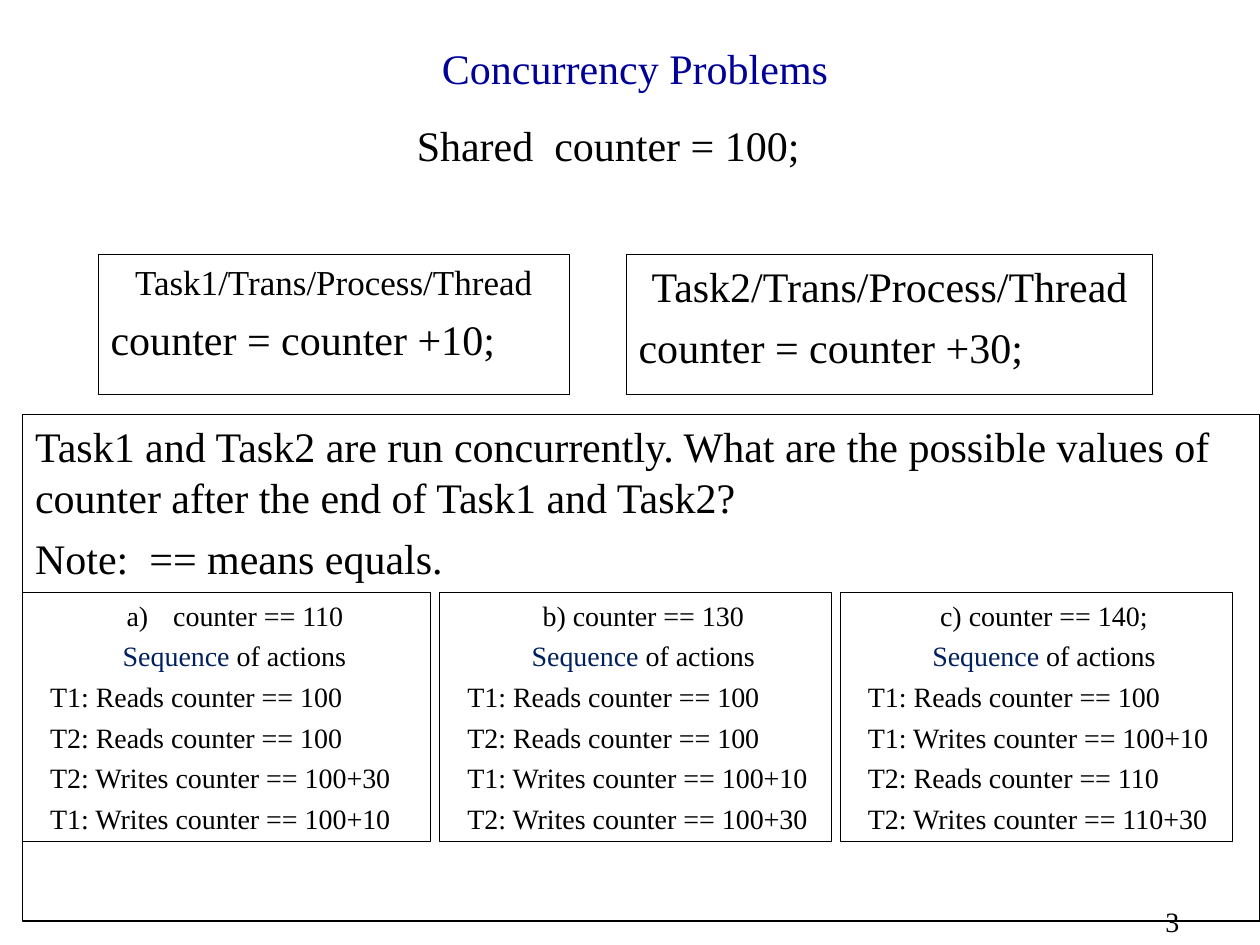
from pptx import Presentation
from pptx.dml.color import RGBColor
from pptx.enum.shapes import MSO_SHAPE as Shape
from pptx.enum.text import MSO_ANCHOR as Anchor, PP_ALIGN as Align
from pptx.oxml.ns import qn
from pptx.util import Inches, Pt
from lxml import etree

FONT = "Times New Roman"
BLACK = RGBColor(0x00, 0x00, 0x00)
TITLE_BLUE = RGBColor(0x00, 0x00, 0x99)
NAVY = RGBColor(0x00, 0x20, 0x60)

TASKS = [
    (0.78, 3.74, 20, "Task1/Trans/Process/Thread", "counter = counter +10;"),
    (4.97, 4.18, 24, "Task2/Trans/Process/Thread", "counter = counter +30;"),
]
QUESTION = [
    "Task1 and Task2 are run concurrently. What are the possible values of "
    "counter after the end of Task1 and Task2?",
    "Note:  == means equals.",
]
SEQUENCES = [
    (0.18, 3.24, "counter == 110", [
        "T1: Reads counter == 100", "T2: Reads counter == 100",
        "T2: Writes counter == 100+30", "T1: Writes counter == 100+10"]),
    (3.49, 3.11, "b) counter == 130", [
        "T1: Reads counter == 100", "T2: Reads counter == 100",
        "T1: Writes counter == 100+10", "T2: Writes counter == 100+30"]),
    (6.67, 3.11, "c) counter == 140;", [
        "T1: Reads counter == 100", "T1: Writes counter == 100+10",
        "T2: Reads counter == 110", "T2: Writes counter == 110+30"]),
]


def add_label(slide, left, top, width, height, text, size=24, color=BLACK,
              align=Align.LEFT, anchor=Anchor.TOP):
    frame = slide.shapes.add_textbox(
        Inches(left), Inches(top), Inches(width), Inches(height)).text_frame
    frame.word_wrap = True
    frame.vertical_anchor = anchor
    add_paragraph(frame, text, size, color, align)


def add_box(slide, left, top, width, height):
    """Add an unfilled outlined rectangle and return its text frame."""
    shape = slide.shapes.add_shape(
        Shape.RECTANGLE, Inches(left), Inches(top), Inches(width), Inches(height))
    shape.shadow.inherit = False
    shape.fill.background()
    shape.line.color.rgb = BLACK
    shape.line.width = Pt(0.75)
    frame = shape.text_frame
    frame.word_wrap = True
    frame.vertical_anchor = Anchor.TOP
    return frame


def add_paragraph(frame, text, size=24, color=BLACK, align=Align.LEFT, space=6,
                  margin=0, hanging=0, numbering=None):
    """Fill the empty first paragraph of the frame, or append a new one."""
    first = not frame.paragraphs[0].runs
    paragraph = frame.paragraphs[0] if first else frame.add_paragraph()
    paragraph.alignment = align
    paragraph.space_before = Pt(0 if first else space)
    properties = paragraph._p.get_or_add_pPr()
    properties.set("marL", str(Inches(margin)))
    properties.set("indent", str(-Inches(hanging)))
    if numbering:
        etree.SubElement(properties, qn("a:buFont"), typeface=FONT)
        etree.SubElement(properties, qn("a:buAutoNum"), type=numbering)
    paragraph.font.name = FONT
    paragraph.font.size = Pt(size)
    paragraph.font.color.rgb = color
    paragraph.add_run().text = text
    return paragraph


def add_task(slide, left, width, heading_size, heading, statement):
    frame = add_box(slide, left, 2.02, width, 1.11)
    add_paragraph(frame, heading, heading_size, align=Align.CENTER)
    add_paragraph(frame, statement)


def add_sequence(slide, left, width, outcome, actions):
    frame = add_box(slide, left, 4.7, width, 1.98)
    style = dict(size=16, space=4, margin=0.12)
    if outcome.startswith("counter"):
        add_paragraph(frame, outcome, 16, align=Align.CENTER,
                      margin=0.5, hanging=0.37, numbering="alphaLcParenR")
    else:
        add_paragraph(frame, outcome, align=Align.CENTER, **style)
    heading = add_paragraph(frame, "Sequence", align=Align.CENTER, **style)
    heading.runs[0].font.color.rgb = NAVY
    heading.add_run().text = " of actions"
    for action in actions:
        add_paragraph(frame, action, **style)


def main():
    presentation = Presentation()
    presentation.slide_width = Inches(10)
    presentation.slide_height = Inches(7.5)
    slide = presentation.slides.add_slide(presentation.slide_layouts[6])

    add_label(slide, 9.15, 7.13, 0.85, 0.37, "3", size=16)
    add_label(slide, 0.79, 0.19, 8.5, 0.69, "Concurrency Problems",
              color=TITLE_BLUE, align=Align.CENTER, anchor=Anchor.MIDDLE)
    for task in TASKS:
        add_task(slide, *task)
    add_label(slide, 3.21, 0.9, 3.57, 0.62, "Shared  counter = 100;")
    question = add_box(slide, 0.18, 3.29, 9.82, 4.02)
    for text in QUESTION:
        add_paragraph(question, text)
    for sequence in SEQUENCES:
        add_sequence(slide, *sequence)

    presentation.save("out.pptx")


if __name__ == "__main__":
    main()
